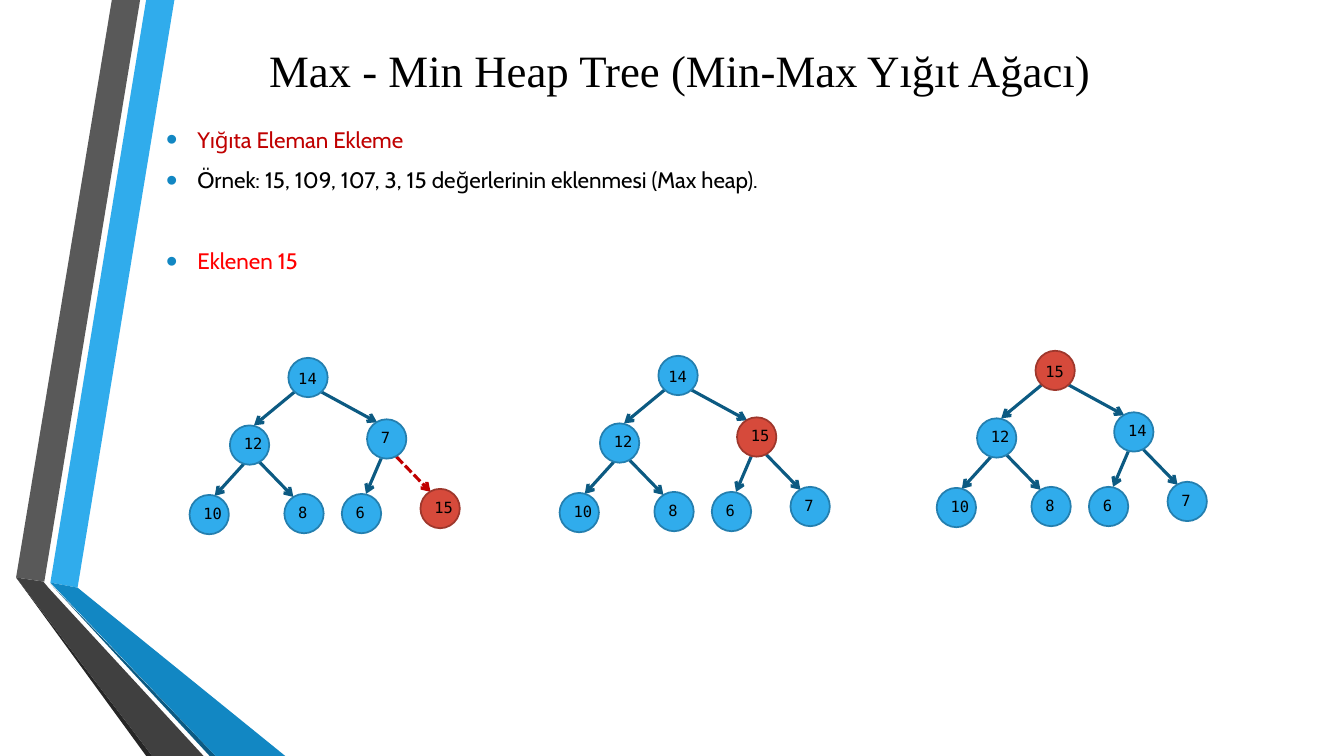
from lxml import etree
from pptx import Presentation
from pptx.dml.color import RGBColor
from pptx.enum.dml import MSO_LINE
from pptx.enum.shapes import MSO_CONNECTOR, MSO_SHAPE
from pptx.enum.text import MSO_ANCHOR, PP_ALIGN
from pptx.oxml.ns import qn
from pptx.util import Pt

PX = 9144  # 100 px to the inch
STRAIGHT, OVAL, SYS_DASH = MSO_CONNECTOR.STRAIGHT, MSO_SHAPE.OVAL, MSO_LINE.SQUARE_DOT
CENTER, JUSTIFY = PP_ALIGN.CENTER, PP_ALIGN.JUSTIFY
MIDDLE, TOP = MSO_ANCHOR.MIDDLE, MSO_ANCHOR.TOP

BLACK = RGBColor(0x00, 0x00, 0x00)
SKY = RGBColor(0x30, 0xAC, 0xEC)
SKY_EDGE = RGBColor(0x24, 0x7F, 0xAF)
BLUE = RGBColor(0x12, 0x87, 0xC3)
NAVY = RGBColor(0x0C, 0x5A, 0x82)
RED = RGBColor(0xD6, 0x4A, 0x3B)
RED_EDGE = RGBColor(0x9E, 0x37, 0x2C)
DARK_RED = RGBColor(0xC0, 0x00, 0x00)
BRIGHT_RED = RGBColor(0xFF, 0x00, 0x00)
GREY = RGBColor(0x59, 0x59, 0x59)
DARK_GREY = RGBColor(0x40, 0x40, 0x40)
CHARCOAL = RGBColor(0x26, 0x26, 0x26)

prs = Presentation()
prs.slide_width, prs.slide_height = 1333 * PX, 750 * PX
s = prs.slides.add_slide(prs.slide_layouts[6])


def add_text(x, y, w, h, text, anchor=TOP):
    tf = s.shapes.add_textbox(x * PX, y * PX, w * PX, h * PX).text_frame
    tf.word_wrap = True
    tf.vertical_anchor = anchor
    tf.text = text
    return tf


def set_font(p, name, size, color):
    font = p.runs[0].font
    font.name, font.size, font.color.rgb = name, Pt(size), color


# Folded ribbons on the left
ribbons = [
    (SKY, [(50, 578), (77, 583), (173, 0), (145, 0)]),
    (GREY, [(139, 0), (111, 0), (16, 573), (44, 577)]),
    (CHARCOAL, [(16, 573), (145, 750), (151, 750)]),
    (NAVY, [(50, 579), (208, 750), (214, 750)]),
    (BLUE, [(50, 578), (214, 750), (283, 750), (77, 583)]),
    (DARK_GREY, [(202, 750), (48, 583), (43, 577), (16, 573), (151, 750)]),
]
for color, points in ribbons:
    builder = s.shapes.build_freeform(*points[0], scale=PX)
    builder.add_line_segments(points[1:], close=True)
    sp = builder.convert_to_shape()
    sp.shadow.inherit = False
    sp.fill.solid()
    sp.fill.fore_color.rgb = color
    sp.line.fill.background()

# Title
tf = add_text(155, 17, 1039, 104, "Max - Min Heap Tree (Min-Max Yığıt Ağacı)", MIDDLE)
tf.paragraphs[0].alignment = CENTER
set_font(tf.paragraphs[0], "Times New Roman", 32, BLACK)

# Bullets: text, colour, space before
bullets = [
    ("Yığıta Eleman Ekleme", DARK_RED, 0),
    ("Örnek: 15, 109, 107, 3, 15 değerlerinin eklenmesi (Max heap).", BLACK, 0),
    ("Eklenen 15", BRIGHT_RED, 29),
]
tf = add_text(155, 107, 1039, 216, "\n".join(text for text, _, _ in bullets))
for p, (_, color, gap) in zip(tf.paragraphs, bullets):
    pPr = p._p.get_or_add_pPr()
    pPr.set("marL", str(31 * PX))
    pPr.set("indent", str(-31 * PX))
    bullet_color = etree.SubElement(pPr, qn("a:buClr"))
    etree.SubElement(bullet_color, qn("a:srgbClr"), val=str(BLUE))
    etree.SubElement(pPr, qn("a:buSzPct"), val="145000")
    etree.SubElement(pPr, qn("a:buFont"), typeface="Arial")
    etree.SubElement(pPr, qn("a:buChar"), char="•")
    p.alignment = JUSTIFY
    p.line_spacing = 1.5
    p.space_before = Pt(gap)
    set_font(p, "Cabin", 16, color)

# Heap trees, laid out relative to the root's corner, in level order
NODE = 39
node_offsets = [(0, 0), (-58, 67), (78, 61), (-98, 136), (-4, 135), (53, 135), (131, 130)]
edges = [
    (6, 34, -34, 67), (33, 34, 88, 64),
    (-44, 105, -73, 137), (-29, 103, 5, 138),
    (92, 100, 77, 135), (107, 98, 141, 133),
]
# Root corner, values, index of the inserted node, index of the pending edge
trees = [
    (286, 355, [14, 12, 7, 10, 8, 6, 15], 6, 5),
    (653, 353, [14, 12, 15, 10, 8, 6, 7], 2, None),
    (1027, 348, [15, 12, 14, 10, 8, 6, 7], 0, None),
]
for root_x, root_y, values, inserted, pending in trees:
    for i, (x1, y1, x2, y2) in enumerate(edges):
        line = s.shapes.add_connector(
            STRAIGHT, (root_x + x1) * PX, (root_y + y1) * PX,
            (root_x + x2) * PX, (root_y + y2) * PX)
        line.line.width = Pt(2.25)
        line.line.color.rgb = DARK_RED if i == pending else NAVY
        if i == pending:
            line.line.dash_style = SYS_DASH
        etree.SubElement(line.line._get_or_add_ln(), qn("a:tailEnd"), type="arrow")
        etree.SubElement(line._element.spPr, qn("a:effectLst"))

    for i, ((dx, dy), value) in enumerate(zip(node_offsets, values)):
        x, y = root_x + dx, root_y + dy
        sp = s.shapes.add_shape(OVAL, x * PX, y * PX, NODE * PX, NODE * PX)
        sp.shadow.inherit = False
        sp.fill.solid()
        sp.fill.fore_color.rgb = RED if i == inserted else SKY
        sp.line.color.rgb = RED_EDGE if i == inserted else SKY_EDGE
        sp.line.width = Pt(1.25)
        label_dx, label_dy = (0, 6) if i == 0 else (4, 4)
        tf = add_text(x + label_dx, y + label_dy, 40, 29, str(value))
        set_font(tf.paragraphs[0], "DejaVu Sans Mono", 11, BLACK)

prs.save("out.pptx")
